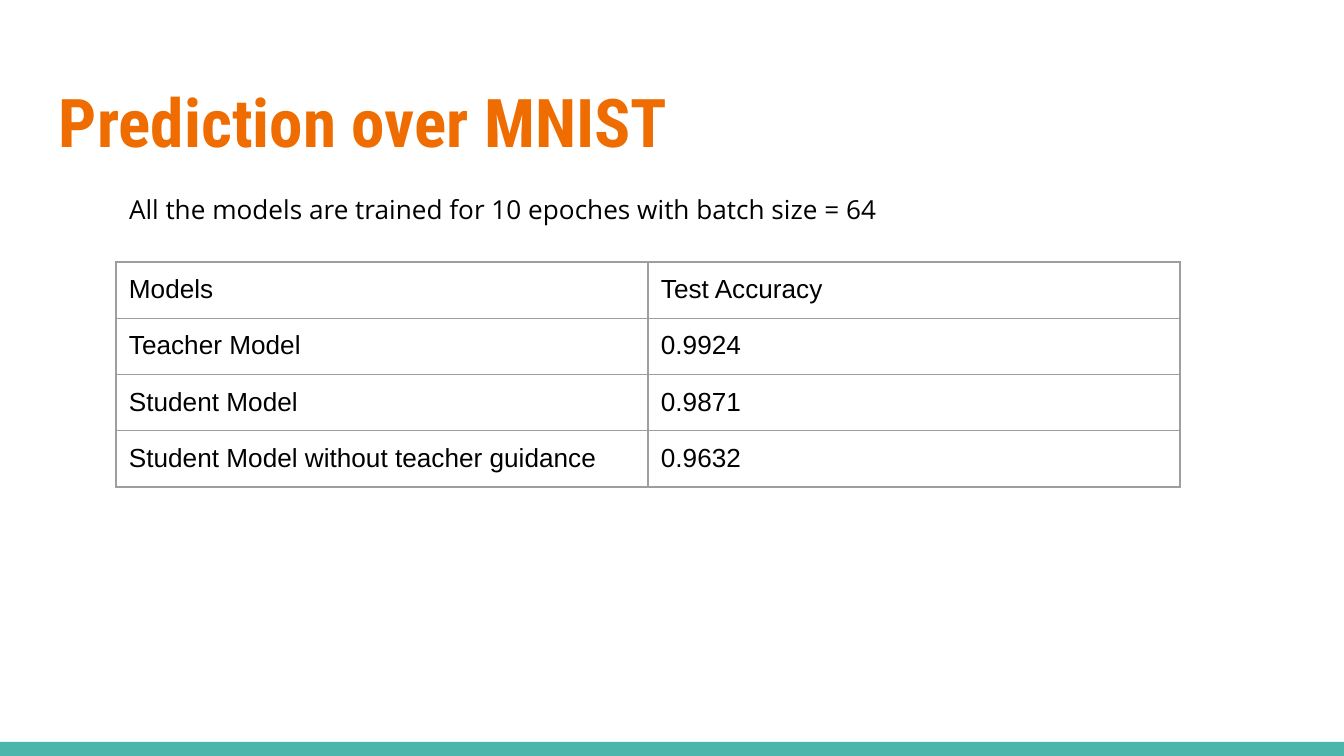
from lxml.etree import SubElement
from pptx import Presentation
from pptx.dml.color import RGBColor
from pptx.enum.shapes import MSO_SHAPE as Shape
from pptx.enum.text import MSO_ANCHOR as Anchor, MSO_AUTO_SIZE as AutoSize, PP_ALIGN as Align
from pptx.oxml.ns import qn
from pptx.util import Emu, Pt

TITLE = "Prediction over MNIST"
NOTE = "All the models are trained for 10 epoches with batch size = 64"
RESULTS = [
    ("Models", "Test Accuracy"),
    ("Teacher Model", "0.9924"),
    ("Student Model", "0.9871"),
    ("Student Model without teacher guidance", "0.9632"),
]

TITLE_FONT = dict(name="Roboto Condensed", size=Pt(36), bold=True)
NOTE_FONT = dict(name="Open Sans", size=Pt(14), bold=False)
CELL_FONT = dict(name="Arial", size=Pt(14), bold=False)
ORANGE, TEAL, BLACK, GREY = "EF6C00", "4DB6AC", "000000", "9E9E9E"

SLIDE_W, SLIDE_H = 1344, 756
BAR_H = 14
INSET = 13
TABLE_LEFT, TABLE_TOP = 116, 262
COL_W, ROW_H = 532, 56.25


def px(length):
    return Emu(round(length * 914400 / 134.4))


def box(*lengths):
    return [px(length) for length in lengths]


def color(hex_value):
    return RGBColor.from_string(hex_value)


def set_format(target, values):
    for key, value in values.items():
        setattr(target, key, value)


def write(frame, text, font, hex_value):
    frame.text = text
    paragraph = frame.paragraphs[0]
    paragraph.alignment = Align.LEFT
    set_format(paragraph.runs[0].font, font)
    paragraph.runs[0].font.color.rgb = color(hex_value)


def margins():
    return {f"margin_{side}": px(INSET) for side in ("left", "top", "right", "bottom")}


def add_borders(cell):
    """Draw all four sides; the lines must come before the fill in tcPr."""
    properties = cell._tc.get_or_add_tcPr()
    for position, side in enumerate(("lnL", "lnR", "lnT", "lnB")):
        line = SubElement(properties, qn(f"a:{side}"), w=str(Pt(0.75)))
        fill = SubElement(line, qn("a:solidFill"))
        SubElement(fill, qn("a:srgbClr"), val=GREY)
        properties.insert(position, line)


prs = Presentation()
prs.slide_width, prs.slide_height = box(SLIDE_W, SLIDE_H)
slide = prs.slides.add_slide(prs.slide_layouts[5])
slide.background.fill.solid()
slide.background.fill.fore_color.rgb = color("FFFFFF")

bar = slide.shapes.add_shape(
    Shape.RECTANGLE, *box(0, SLIDE_H - BAR_H, SLIDE_W, BAR_H))
bar.shadow.inherit = False
bar.fill.solid()
bar.fill.fore_color.rgb = color(TEAL)
bar.line.fill.background()

title = slide.shapes.title
title.left, title.top, title.width, title.height = box(46, 67, 1252, 104)
note = slide.shapes.add_textbox(*box(TABLE_LEFT, 180, 936, 82))
for shape, text, font, hex_value in (
        (title, TITLE, TITLE_FONT, ORANGE), (note, NOTE, NOTE_FONT, BLACK)):
    write(shape.text_frame, text, font, hex_value)
    set_format(shape.text_frame, dict(
        margins(), word_wrap=True, auto_size=AutoSize.NONE, vertical_anchor=Anchor.TOP))

rows, cols = len(RESULTS), len(RESULTS[0])
table = slide.shapes.add_table(
    rows, cols, *box(TABLE_LEFT, TABLE_TOP, cols * COL_W, rows * ROW_H)).table
set_format(table, dict(first_row=False, horz_banding=False))
for table_row, values in zip(table.rows, RESULTS):
    for cell, value in zip(table_row.cells, values):
        write(cell.text_frame, value, CELL_FONT, BLACK)
        set_format(cell, dict(margins(), vertical_anchor=Anchor.TOP))
        cell.fill.background()
        add_borders(cell)

prs.save("out.pptx")
